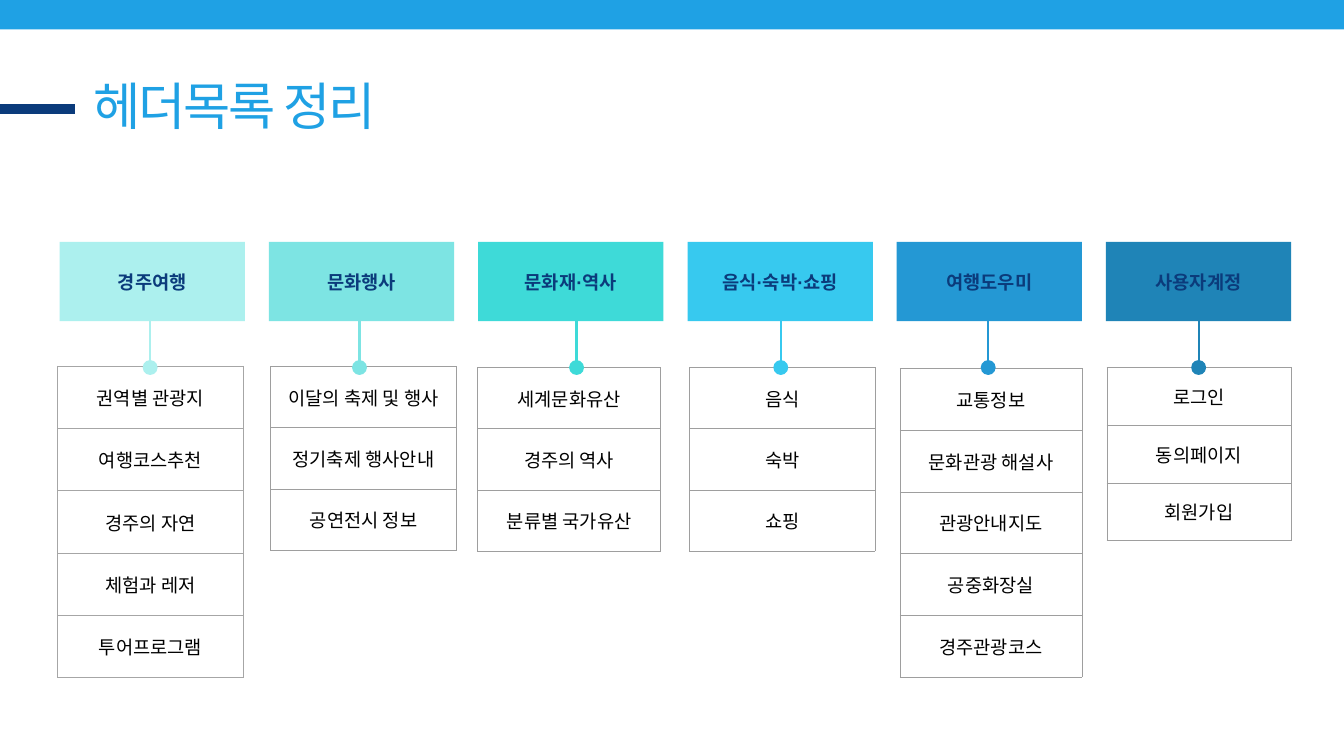
from lxml import etree
from pptx import Presentation
from pptx.dml.color import RGBColor
from pptx.enum.shapes import MSO_CONNECTOR, MSO_SHAPE
from pptx.enum.text import MSO_ANCHOR, PP_ALIGN
from pptx.oxml.ns import qn
from pptx.util import Pt

STRAIGHT = MSO_CONNECTOR.STRAIGHT
RECTANGLE, OVAL = MSO_SHAPE.RECTANGLE, MSO_SHAPE.OVAL
MIDDLE, CENTER = MSO_ANCHOR.MIDDLE, PP_ALIGN.CENTER

COLORS = {
    "sky": "1FA1E4", "navy": "0B3B7B", "black": "000000", "white": "FFFFFF",
    "grid": "9E9E9E", "soft_grid": "A6A6A6",
    "travel": "ACF0EE", "events": "7DE4E3", "heritage": "3EDAD8",
    "living": "37C9EF", "helper": "2498D4", "account": "1F84B7",
}

HEADER_LEFT, HEADER_TOP, HEADER_PITCH = 64, 259.2, 224.2
HEADER_WIDTH, HEADER_HEIGHT = 198.5, 85
DOT_Y, DOT_SIZE = 393.8, 16

MENUS = [
    ("travel", "경주여행", "Calibri", 160.9, (61.9, 392.4, 198.7, 66.7),
     ["권역별 관광지", "여행코스추천", "경주의 자연", "체험과 레저", "투어프로그램"]),
    ("events", "문화행사", "Calibri", 385.2, (290, 392.4, 199, 65.8),
     ["이달의 축제 및 행사", "정기축제 행사안내", "공연전시 정보"]),
    ("heritage", "문화재·역사", "Arial", 617.8, (511.8, 393.8, 196, 65.5),
     ["세계문화유산", "경주의 역사", "분류별 국가유산"]),
    ("living", "음식·숙박·쇼핑", "Arial", 836.6, (738.7, 393.8, 199, 65.5),
     ["음식", "숙박", "쇼핑"]),
    ("helper", "여행도우미", "Calibri", 1058.8, (964.3, 394.6, 195, 66.2),
     ["교통정보", "문화관광 해설사", "관광안내지도", "공중화장실", "경주관광코스"]),
    ("account", "사용자계정", "Calibri", 1284.3, (1186, 393.8, 197.3, 61.8),
     ["로그인", "동의페이지", "회원가입"]),
]


class MenuSlide:
    """Holds the style and the current slide."""

    def __init__(self, slide):
        self.slide = slide

    def color(self, name):
        return RGBColor.from_string(COLORS[name])

    def label(self, frame, text, size, font, color, bold=False, align=None):
        frame.text = text
        paragraph = frame.paragraphs[0]
        paragraph.alignment = align
        run = paragraph.runs[0]
        run.font.size = Pt(size)
        run.font.name = font
        run.font.bold = bold
        run.font.color.rgb = self.color(color)
        return paragraph

    def block(self, kind, left, top, width, height, color):
        block = self.slide.shapes.add_shape(kind, Pt(left), Pt(top), Pt(width), Pt(height))
        block.shadow.inherit = False
        block.fill.solid()
        block.fill.fore_color.rgb = self.color(color)
        block.line.fill.background()
        return block

    def line(self, x1, y1, x2, y2, color, width):
        line = self.slide.shapes.add_connector(STRAIGHT, Pt(x1), Pt(y1), Pt(x2), Pt(y2))
        line.line.color.rgb = self.color(color)
        line.line.width = Pt(width)
        etree.SubElement(line._element.spPr, qn("a:effectLst"))

    def title(self, text, left, top, width, height):
        title = self.slide.shapes.add_textbox(Pt(left), Pt(top), Pt(width), Pt(height))
        frame = title.text_frame
        frame.word_wrap = True
        frame.margin_left = frame.margin_right = frame.margin_top = frame.margin_bottom = 0
        paragraph = self.label(frame, text, 55, "Calibri", "sky")
        paragraph.line_spacing = Pt(66)
        paragraph.runs[0].font._element.set("spc", "-220")

    def header(self, left, text, font, color):
        header = self.block(RECTANGLE, left, HEADER_TOP, HEADER_WIDTH, HEADER_HEIGHT, color)
        header.text_frame.vertical_anchor = MIDDLE
        self.label(header.text_frame, text, 20, font, "navy", True, CENTER)

    def pin(self, x, color):
        self.line(x, HEADER_TOP + HEADER_HEIGHT, x, DOT_Y, color, 2.5)
        self.block(OVAL, x - DOT_SIZE / 2, DOT_Y - DOT_SIZE / 2, DOT_SIZE, DOT_SIZE, color)

    def borders(self, cell, color, width):
        properties = cell._tc.get_or_add_tcPr()
        for side in ("a:lnL", "a:lnR", "a:lnT", "a:lnB"):
            edge = etree.SubElement(properties, qn(side), w=str(Pt(width)))
            fill = etree.SubElement(edge, qn("a:solidFill"))
            etree.SubElement(fill, qn("a:srgbClr"), val=COLORS[color])

    def menu(self, left, top, width, row_height, entries, filled):
        menu = self.slide.shapes.add_table(
            len(entries), 1, Pt(left), Pt(top), Pt(width), Pt(row_height * len(entries))).table
        menu.first_row = menu.horz_banding = False
        for row, entry in zip(menu.rows, entries):
            row.height = Pt(row_height)
            cell = row.cells[0]
            cell.vertical_anchor = MIDDLE
            cell.margin_left = cell.margin_right = cell.margin_top = cell.margin_bottom = Pt(6)
            if filled:
                self.borders(cell, "soft_grid", 1)
                cell.fill.solid()
                cell.fill.fore_color.rgb = self.color("white")
            else:
                self.borders(cell, "grid", 0.6)
                cell.fill.background()
            self.label(cell.text_frame, entry, 20, "Arial", "black", align=CENTER)


def main():
    deck = Presentation()
    deck.slide_width, deck.slide_height = Pt(1440), Pt(810)
    page = MenuSlide(deck.slides.add_slide(deck.slide_layouts[6]))

    page.block(RECTANGLE, -8.6, -9.4, 1457, 41, "sky")
    page.line(-24.5, 116.6, 80.6, 116.6, "navy", 11.25)
    page.title("헤더목록 정리", 100, 80, 520.5, 67)

    for index, (color, heading, font, pin_x, area, entries) in enumerate(MENUS):
        page.menu(*area, entries, filled=index == 0)
        page.pin(pin_x, color)
        page.header(HEADER_LEFT + index * HEADER_PITCH, heading, font, color)

    deck.save("out.pptx")


if __name__ == "__main__":
    main()
